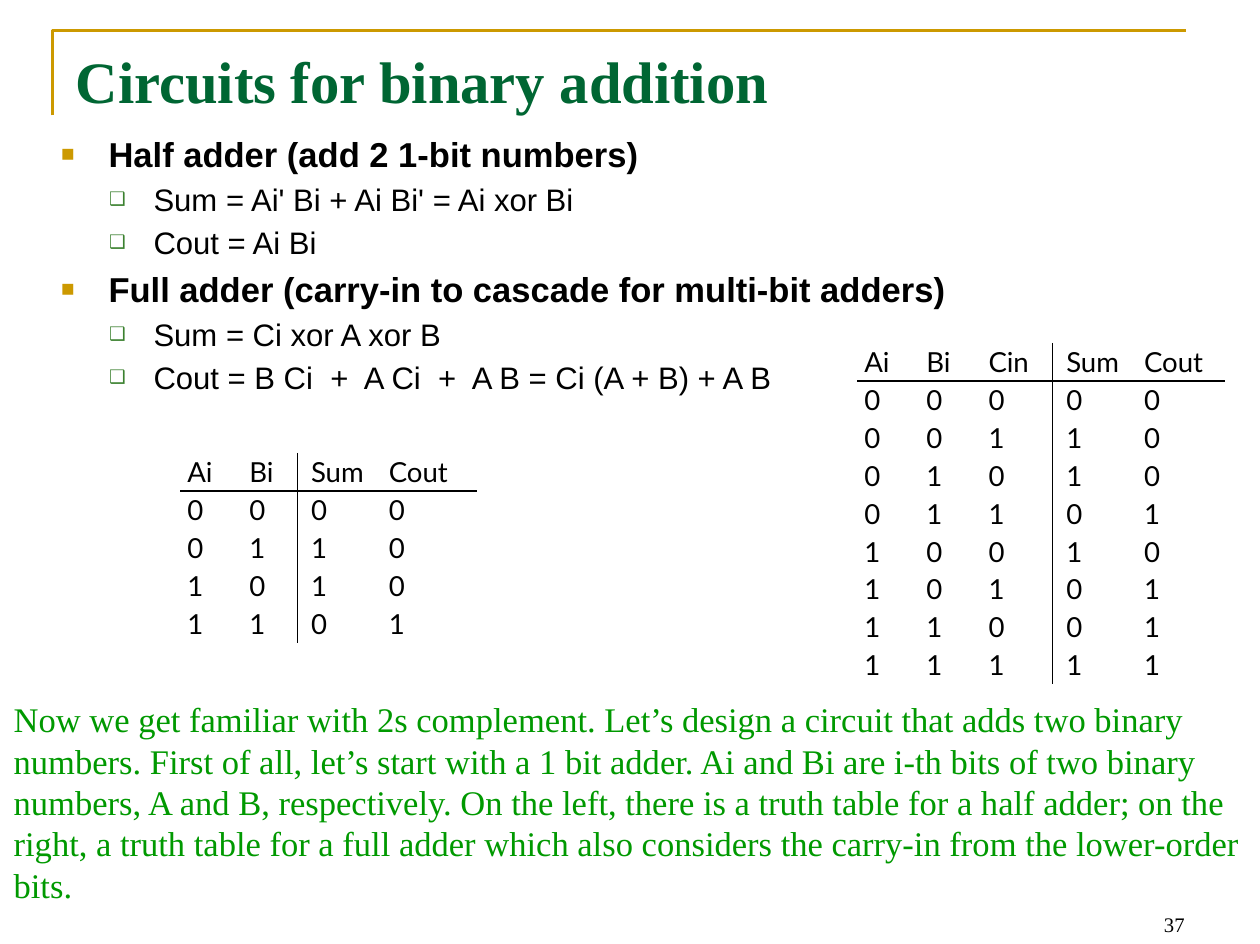
import lxml.etree
import pptx
import pptx.dml.color
import pptx.enum.shapes
import pptx.enum.text
import pptx.oxml.ns
import pptx.util

Cm = pptx.util.Cm
Pt = pptx.util.Pt
RGBColor = pptx.dml.color.RGBColor
ANCHOR = pptx.enum.text.MSO_ANCHOR
qn = pptx.oxml.ns.qn

BLACK = RGBColor(0x00, 0x00, 0x00)
WHITE = RGBColor(0xFF, 0xFF, 0xFF)
GOLD = RGBColor(0xCC, 0x99, 0x00)
TITLE_GREEN = RGBColor(0x00, 0x66, 0x33)
BULLET_GREEN = RGBColor(0x3B, 0x81, 0x2F)
NOTE_GREEN = RGBColor(0x00, 0x99, 0x00)

BULLETS = [  # level, text
    (0, "Half adder (add 2 1-bit numbers)"),
    (1, "Sum = Ai' Bi + Ai Bi' = Ai xor Bi"),
    (1, "Cout = Ai Bi"),
    (0, "Full adder (carry-in to cascade for multi-bit adders)"),
    (1, "Sum = Ci xor A xor B"),
    (1, "Cout = B Ci  +  A Ci  +  A B = Ci (A + B) + A B"),
]
LEVELS = [  # size, bold, space before, left margin, hanging indent, bullet, colour, percent
    (20, True, 4.2, 0.97, 0.97, "■", GOLD, 65),
    (18, False, 3.5, 1.89, 0.91, "❑", BULLET_GREEN, 60),
]
TRUTH_TABLES = [  # left, top, inputs, column widths
    (3.69, 9.26, ["Ai", "Bi"], [1.27, 1.12, 1.73, 1.95]),
    (17.53, 7.01, ["Ai", "Bi", "Cin"], [1.27, 1.27, 1.45, 1.73, 1.8]),
]
ROW_HEIGHT = 6.98 / 9
NOTE = (
    "Now we get familiar with 2s complement. Let’s design a circuit that adds two binary "
    "numbers. First of all, let’s start with a 1 bit adder. Ai and Bi are i-th bits of two "
    "binary numbers, A and B, respectively. On the left, there is a truth table for a half "
    "adder; on the right, a truth table for a full adder which also considers the carry-in "
    "from the lower-order bits."
)


def add_text_box(left, top, width, height, anchor=ANCHOR.TOP):
    box = slide.shapes.add_textbox(Cm(left), Cm(top), Cm(width), Cm(height))
    box.text_frame.word_wrap = True
    box.text_frame.vertical_anchor = anchor
    return box


def add_run(paragraph, text, font, size, colour, bold=False):
    run = paragraph.add_run()
    run.text = text
    run.font.name = font
    run.font.size = Pt(size)
    run.font.bold = bold
    run.font.color.rgb = colour


presentation = pptx.Presentation()
presentation.slide_width = Cm(25.76)
presentation.slide_height = Cm(19.3)
slide = presentation.slides.add_slide(presentation.slide_layouts[6])

# Corner rule above the title
builder = slide.shapes.build_freeform(Cm(1.07), Cm(2.36))
builder.add_line_segments([(Cm(1.07), Cm(0.63)), (Cm(24.24), Cm(0.63))], close=False)
corner = builder.convert_to_shape()
corner.shadow.inherit = False
corner.fill.background()
corner.line.color.rgb = GOLD
corner.line.width = Pt(1.5)

# Slide number
number = add_text_box(18.45, 17.98, 6.02, 1.3, ANCHOR.BOTTOM)
paragraph = number.text_frame.paragraphs[0]
paragraph.alignment = pptx.enum.text.PP_ALIGN.RIGHT
add_run(paragraph, "37", "Times New Roman", 12, BLACK)

# Truth tables, worked out from the number of inputs
for left, top, inputs, widths in TRUTH_TABLES:
    count = len(inputs)
    rows = [inputs + ["Sum", "Cout"]]
    for value in range(2 ** count):
        bits = [value >> shift & 1 for shift in reversed(range(count))]
        rows.append(bits + [sum(bits) % 2, sum(bits) // 2])
    right = left + sum(widths)
    bottom = top + ROW_HEIGHT * len(rows)
    table = slide.shapes.add_table(
        len(rows), len(widths), Cm(left), Cm(top), Cm(right - left), Cm(bottom - top)).table
    table.first_row = False
    table.horz_banding = False
    for column, width in zip(table.columns, widths):
        column.width = Cm(width)
    for row_index, row in enumerate(rows):
        table.rows[row_index].height = Cm(ROW_HEIGHT)
        for column_index, value in enumerate(row):
            cell = table.cell(row_index, column_index)
            cell.margin_left = Cm(0.28 if column_index == count else 0.14)
            cell.margin_right = cell.margin_top = cell.margin_bottom = 0
            cell.vertical_anchor = ANCHOR.MIDDLE
            cell.fill.background()
            add_run(cell.text_frame.paragraphs[0], str(value), "Lato", 16, BLACK)

    header_bottom = top + ROW_HEIGHT
    inputs_right = left + sum(widths[:count])
    for ends in [(left, header_bottom, right, header_bottom),
                 (inputs_right, top, inputs_right, bottom)]:
        rule = slide.shapes.add_connector(
            pptx.enum.shapes.MSO_CONNECTOR.STRAIGHT, *[Cm(end) for end in ends])
        rule.line.color.rgb = BLACK
        rule.line.width = Pt(1)
        lxml.etree.SubElement(rule._element.spPr, qn("a:effectLst"))

# Title
title = add_text_box(1.3, 0.79, 23.16, 3.2)
add_run(title.text_frame.paragraphs[0], "Circuits for binary addition",
        "Times New Roman", 34, TITLE_GREEN, True)

# Adder equations
body = add_text_box(1, 2.59, 23.16, 12.75)
for index, (level, text) in enumerate(BULLETS):
    size, bold, space, margin, hanging, bullet, colour, percent = LEVELS[level]
    frame = body.text_frame
    paragraph = frame.add_paragraph() if index else frame.paragraphs[0]
    paragraph.level = level
    paragraph.space_before = Pt(space)
    add_run(paragraph, text, "Arial", size, BLACK, bold)
    properties = paragraph._p.get_or_add_pPr()
    properties.set("marL", str(Cm(margin)))
    properties.set("indent", str(-Cm(hanging)))
    bullet_colour = lxml.etree.SubElement(properties, qn("a:buClr"))
    lxml.etree.SubElement(bullet_colour, qn("a:srgbClr"), val=str(colour))
    lxml.etree.SubElement(properties, qn("a:buSzPct"), val=str(percent * 1000))
    lxml.etree.SubElement(properties, qn("a:buFont"), typeface="Arial")
    lxml.etree.SubElement(properties, qn("a:buChar"), char=bullet)

# Explanation
note = add_text_box(0.03, 14.15, 25.76, 4.5)
note.fill.solid()
note.fill.fore_color.rgb = WHITE
add_run(note.text_frame.paragraphs[0], NOTE, "Times New Roman", 20, NOTE_GREEN)

presentation.save("out.pptx")
